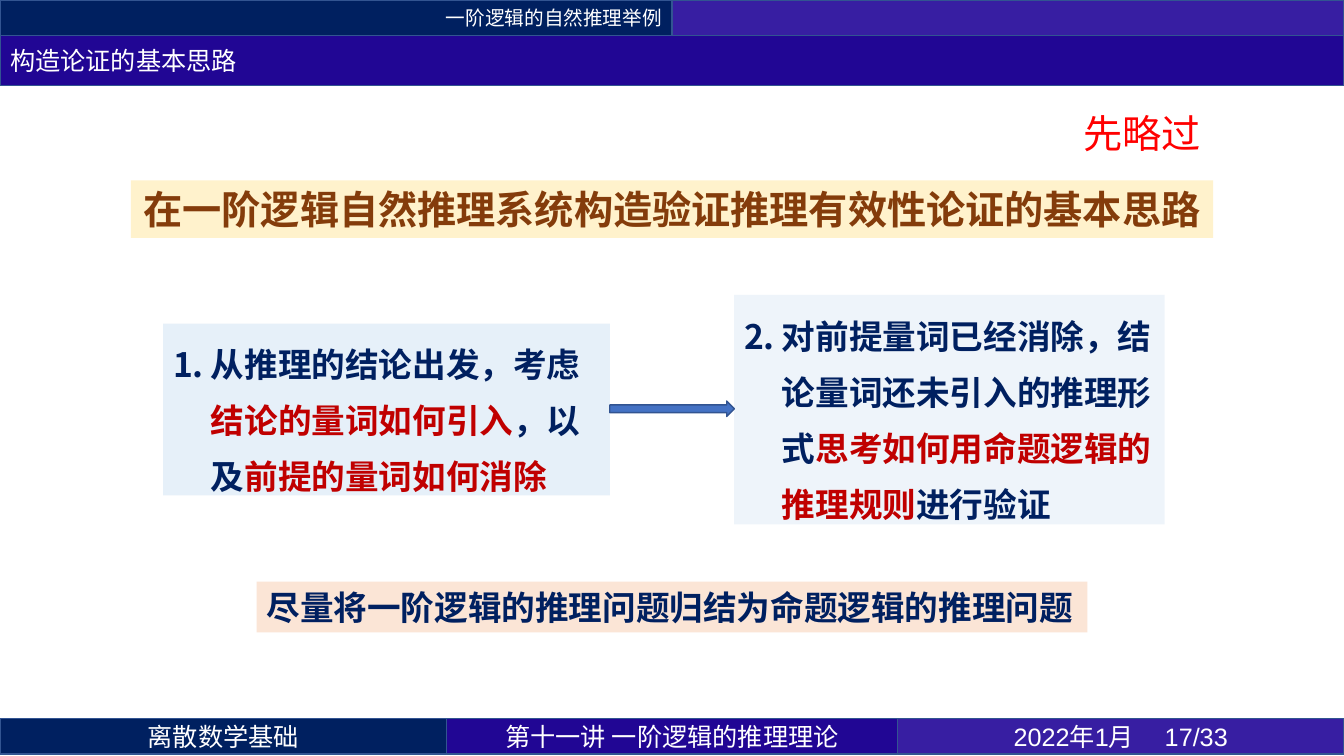
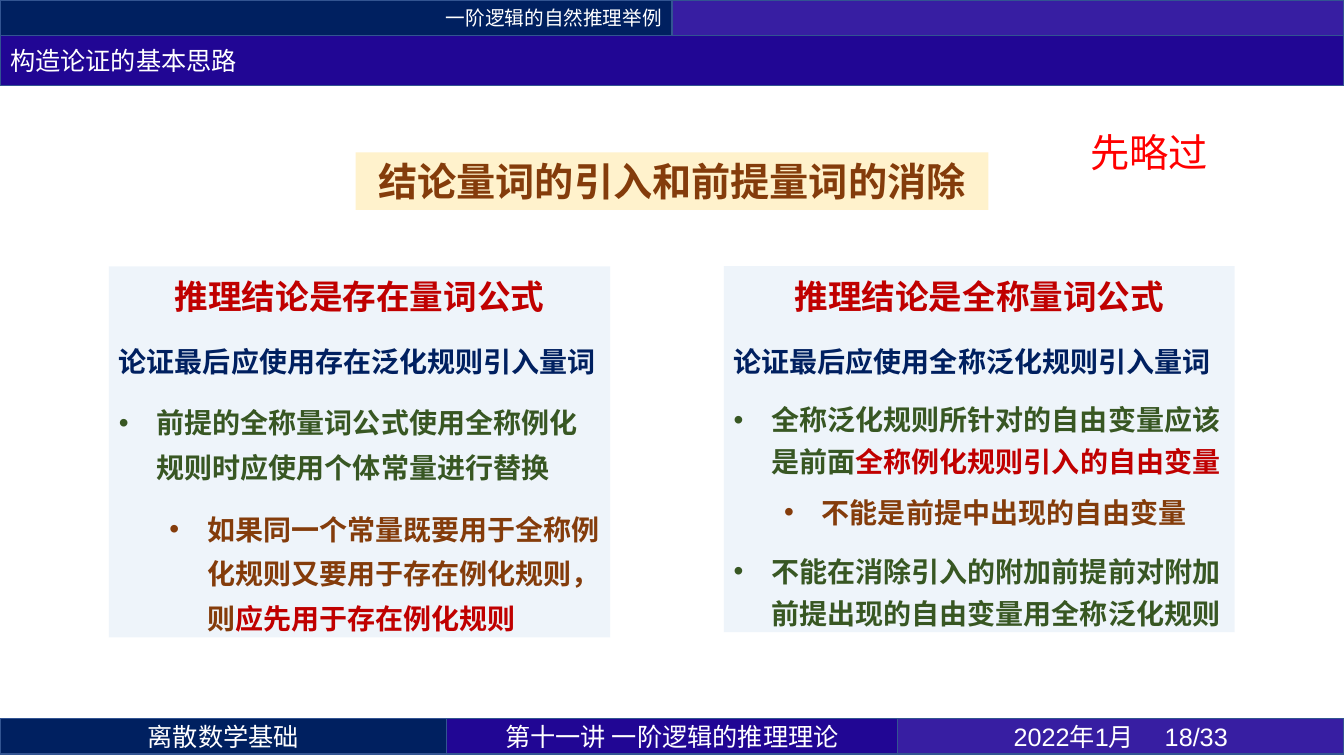
from dataclasses import dataclass

from lxml import etree
from pptx import Presentation
from pptx.dml.color import RGBColor
from pptx.enum.shapes import MSO_SHAPE
from pptx.enum.text import MSO_ANCHOR, MSO_AUTO_SIZE, PP_ALIGN
from pptx.oxml.ns import qn
from pptx.util import Pt

RECT, ARROW = MSO_SHAPE.RECTANGLE, MSO_SHAPE.RIGHT_ARROW
LEFT, CENTER, RIGHT = PP_ALIGN.LEFT, PP_ALIGN.CENTER, PP_ALIGN.RIGHT
TOP, MIDDLE = MSO_ANCHOR.TOP, MSO_ANCHOR.MIDDLE


@dataclass(frozen=True)
class Theme:
    cjk: str = "Noto Sans CJK SC"
    latin: str = "Arial"
    white: RGBColor = RGBColor(0xFF, 0xFF, 0xFF)
    navy: RGBColor = RGBColor(0x00, 0x20, 0x60)
    indigo: RGBColor = RGBColor(0x21, 0x06, 0x94)
    violet: RGBColor = RGBColor(0x37, 0x1E, 0xA2)
    edge: RGBColor = RGBColor(0x32, 0x54, 0x91)
    blue: RGBColor = RGBColor(0x44, 0x72, 0xC4)
    pale_blue: RGBColor = RGBColor(0xDE, 0xEB, 0xF7)
    cream: RGBColor = RGBColor(0xFF, 0xF2, 0xCC)
    peach: RGBColor = RGBColor(0xFB, 0xE5, 0xD6)
    brown: RGBColor = RGBColor(0x84, 0x3C, 0x0B)
    green: RGBColor = RGBColor(0x38, 0x57, 0x23)
    crimson: RGBColor = RGBColor(0xC0, 0x00, 0x00)
    red: RGBColor = RGBColor(0xFF, 0x00, 0x00)
    heading: int = 28
    panel: int = 24
    body: int = 20
    band: int = 18
    section: int = 14


T = Theme()
W, H = 960, 540
SECTION_H, TITLE_H, FOOTER_H = 25.2, 36, 25.2
FOOTER_Y = 513.4
HANG = 27


def add_box(s, at, fill, line=None, opacity=100, shape=RECT):
    sp = s.shapes.add_shape(shape, *map(Pt, at))
    sp.shadow.inherit = False
    sp.fill.solid()
    sp.fill.fore_color.rgb = fill
    if opacity < 100:
        color = sp._element.spPr.find(qn("a:solidFill"))[0]
        etree.SubElement(color, qn("a:alpha"), val=str(opacity * 1000))
    if line is None:
        sp.line.fill.background()
    else:
        sp.line.color.rgb = line
        sp.line.width = Pt(1)
    return sp


def write(sp, runs, size, align=LEFT, anchor=TOP, bold=False, font=T.cjk, bullet=None,
          indent=HANG, leading=None, before=0, after=0, wrap=True, new=False):
    """Write (text, colour) runs as one paragraph; an int bullet starts numbering."""
    tf = sp.text_frame
    tf.word_wrap, tf.auto_size, tf.vertical_anchor = wrap, MSO_AUTO_SIZE.NONE, anchor
    p = tf.add_paragraph() if new else tf.paragraphs[0]
    p.alignment = align
    if bullet is not None:
        pPr = p._p.get_or_add_pPr()
        pPr.set("marL", str(Pt(indent)))
        pPr.set("indent", str(-Pt(HANG)))
        numbered = isinstance(bullet, int)
        etree.SubElement(pPr, qn("a:buFont"), typeface=T.cjk if numbered else T.latin)
        if numbered:
            etree.SubElement(pPr, qn("a:buAutoNum"), type="arabicPeriod", startAt=str(bullet))
        else:
            etree.SubElement(pPr, qn("a:buChar"), char=bullet)
    if leading:
        p.line_spacing = Pt(leading)
    p.space_before, p.space_after = Pt(before), Pt(after)
    for text, color in runs:
        r = p.add_run()
        r.text = text
        r.font.name, r.font.size, r.font.bold = font, Pt(size), bold
        r.font.color.rgb = color
        etree.SubElement(r._r.get_or_add_rPr(), qn("a:ea"), typeface=T.cjk)


prs = Presentation()
prs.slide_width, prs.slide_height = Pt(W), Pt(H)
title_only = prs.slide_layouts[5]

# Shared bands, heading and side note
pages = [
    (17, "在一阶逻辑自然推理系统构造验证推理有效性论证的基本思路", 773, 128.8, (766.8, 74.2)),
    (18, "结论量词的引入和前提量词的消除", 452, 108.8, (771.8, 87.8)),
]
for number, heading, heading_w, heading_y, note_at in pages:
    s = prs.slides.add_slide(title_only)

    section = add_box(s, (0, 0, W / 2, SECTION_H), T.navy, T.edge)
    write(section, [("一阶逻辑的自然推理举例", T.white)], T.section, RIGHT, MIDDLE)
    add_box(s, (W / 2, 0, W / 2, SECTION_H), T.violet, T.edge)

    title = s.shapes.title
    title.left, title.top, title.width, title.height = map(Pt, (0, SECTION_H, W, TITLE_H))
    title.fill.solid()
    title.fill.fore_color.rgb = T.indigo
    title.line.color.rgb = T.edge
    title.line.width = Pt(1)
    write(title, [("构造论证的基本思路", T.white)], T.band, anchor=MIDDLE)

    x = 0
    for text, width, fill, font in [
        ("离散数学基础", 319, T.navy, T.cjk),
        ("第十一讲 一阶逻辑的推理理论", 322, T.indigo, T.cjk),
        (f"2022年1月\t{number}/33", 319, T.violet, T.latin),
    ]:
        footer = add_box(s, (x, FOOTER_Y, width, FOOTER_H), fill, T.edge)
        write(footer, [(text, T.white)], T.band, CENTER, MIDDLE, font=font)
        x += width

    banner = add_box(s, ((W - heading_w) / 2, heading_y, heading_w, 41.2), T.cream)
    write(banner, [(heading, T.brown)], T.heading, CENTER, bold=True)
    note = s.shapes.add_textbox(*map(Pt, (*note_at, 99.4, 41.2)))
    write(note, [("先略过", T.red)], T.heading, wrap=False)

steps_slide, rules_slide = prs.slides

# Two steps joined by an arrow
steps = [
    ((116.6, 231.2, 319, 122.6), 75, [
        ("从推理的结论出发，考虑", T.navy), ("结论的量词如何引入", T.crimson),
        ("，以及", T.navy), ("前提的量词如何消除", T.crimson)]),
    ((524.4, 210.6, 307.5, 164), 50, [
        ("对前提量词已经消除，结论量词还未引入的推理形式", T.navy),
        ("思考如何用命题逻辑的推理规则", T.crimson), ("进行验证", T.navy)]),
]
for number, (at, opacity, runs) in enumerate(steps, 1):
    step = add_box(steps_slide, at, T.pale_blue, opacity=opacity)
    write(step, runs, T.panel, bold=True, bullet=number, leading=40)
add_box(steps_slide, (435.6, 286.5, 89, 11), T.blue, T.edge, shape=ARROW)

summary = add_box(steps_slide, ((W - 593.5) / 2, 415.4, 593.5, 36.3), T.peach)
write(summary, [("尽量将一阶逻辑的推理问题归结为命题逻辑的推理问题", T.navy)], T.panel, bold=True)

# Two panels of rules: (indent, space before, space after, runs) for each bullet
NESTED = 63
panels = [
    ((77.8, 190.2, 358, 265), "存在", 32, [
        (HANG, 6, 6, [("前提的全称量词公式使用全称例化规则时应使用个体常量进行替换", T.green)]),
        (NESTED, 6, 6, [("如果同一个常量既要用于全称例化规则又要用于存在例化规则，则", T.brown),
                        ("应先用于存在例化规则", T.crimson)])]),
    ((517, 190.2, 365, 261.4), "全称", 30, [
        (HANG, 6, 6, [("全称泛化规则所针对的自由变量应该是前面", T.green),
                      ("全称例化规则引入的自由变量", T.crimson)]),
        (NESTED, 0, 6, [("不能是前提中出现的自由变量", T.brown)]),
        (HANG, 6, 0, [("不能在消除引入的附加前提前对附加前提出现的自由变量用全称泛化规则", T.green)])]),
]
for at, quantifier, leading, rules in panels:
    panel = add_box(rules_slide, at, T.pale_blue, opacity=50)
    write(panel, [(f"推理结论是{quantifier}量词公式", T.crimson)], T.panel, CENTER,
          bold=True, leading=32, after=6)
    write(panel, [(f"论证最后应使用{quantifier}泛化规则引入量词", T.navy)], T.body,
          bold=True, leading=32, before=6, after=6, new=True)
    for indent, before, after, runs in rules:
        write(panel, runs, T.body, bold=True, bullet="•", indent=indent, leading=leading,
              before=before, after=after, new=True)

prs.save("out.pptx")
